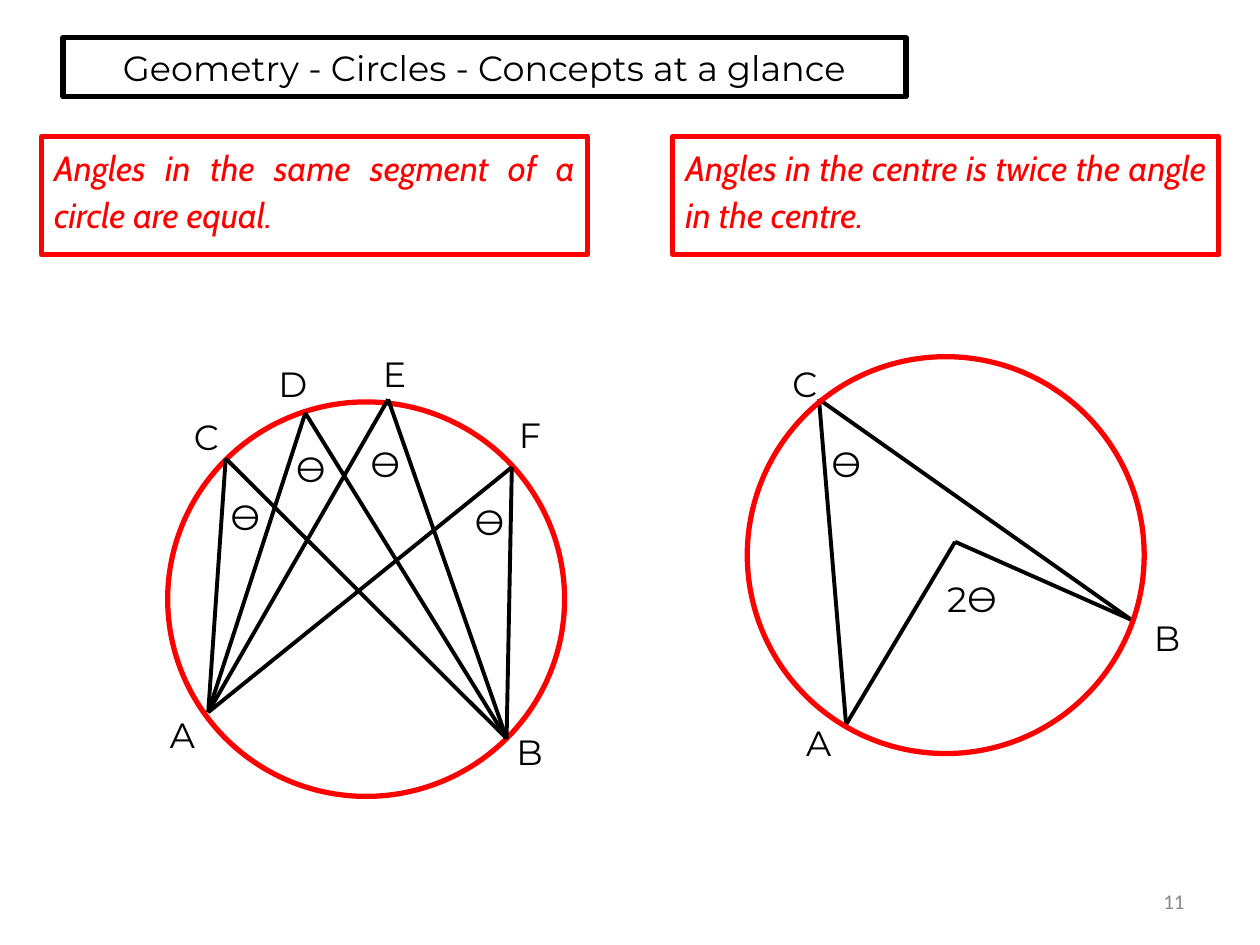
from typing import NamedTuple

from pptx import Presentation
from pptx.dml.color import RGBColor
from pptx.enum.shapes import MSO_CONNECTOR as Connector, MSO_SHAPE as Preset
from pptx.enum.text import MSO_ANCHOR as Anchor, PP_ALIGN as Align
from pptx.oxml.ns import qn
from pptx.util import Pt
from lxml.etree import SubElement

BLACK, RED, GREY = "000000", "FF0000", "898989"


class Area(NamedTuple):
    left: float
    top: float
    width: float
    height: float


class Point(NamedTuple):
    x: float
    y: float


class Label(NamedTuple):
    text: str
    left: float
    top: float
    width: float = 29


def colour(value: str) -> RGBColor:
    return RGBColor.from_string(value)


def lengths(values):
    return [Pt(value) for value in values]


def write(box, text: str, *, font="Montserrat", size=20, ink=BLACK, italic=False,
          align=Align.LEFT, anchor=Anchor.TOP, spacing=1.0, wrap=True):
    frame = box.text_frame
    frame.word_wrap = wrap
    frame.vertical_anchor = anchor
    frame.margin_left = frame.margin_right = Pt(7.2)
    frame.margin_top = frame.margin_bottom = Pt(3.6)
    para = frame.paragraphs[0]
    para.alignment = align
    para.line_spacing = spacing
    span = para.add_run()
    span.text = text
    span.font.name = font
    span.font.size = Pt(size)
    span.font.italic = italic
    span.font.color.rgb = colour(ink)


def draw_outline(page, preset, area: Area, ink: str):
    shape = page.shapes.add_shape(preset, *lengths(area))
    shape.shadow.inherit = False
    shape.fill.background()
    shape.line.color.rgb = colour(ink)
    shape.line.width = Pt(3)
    return shape


def draw_lines(page, points: dict[str, Point], pairs: str):
    for start, end in pairs.split():
        line = page.shapes.add_connector(
            Connector.STRAIGHT, *lengths(points[start] + points[end]))
        line.line.color.rgb = colour(BLACK)
        line.line.width = Pt(2.25)
        SubElement(line._element.spPr, qn("a:effectLst"))


def draw_labels(page, labels: list[Label]):
    for label in labels:
        area = Area(label.left, label.top, label.width, 31.5)
        box = page.shapes.add_textbox(*lengths(area))
        write(box, label.text, wrap=False)


def draw_theorem(page, left: float, text: str):
    box = draw_outline(page, Preset.RECTANGLE, Area(left, 78, 312, 67.5), RED)
    write(box, text, font="Cabin", ink=RED, italic=True,
          align=Align.JUSTIFY, spacing=1.1)


SEGMENT_POINTS = {
    "A": Point(119, 407), "B": Point(289.5, 422), "C": Point(129, 262),
    "D": Point(174.5, 236), "E": Point(221.8, 228.2), "F": Point(292.5, 267),
}
SEGMENT_LABELS = [
    Label("Ѳ", 124.6, 279.4), Label("Ѳ", 162, 252),
    Label("Ѳ", 204.5, 249.1), Label("Ѳ", 264.2, 282.2),
    Label("C", 103.7, 234), Label("A", 90, 404), Label("D", 152, 203.8),
    Label("B", 288, 414), Label("E", 211.7, 198), Label("F", 289.4, 232.6),
]
CENTRE_POINTS = {
    "A": Point(483.5, 414), "B": Point(646.5, 354.2),
    "C": Point(468, 228.2), "O": Point(545.8, 309.6),
}
CENTRE_LABELS = [
    Label("C", 445.7, 203.8), Label("A", 453.6, 409), Label("B", 652.3, 348.5),
    Label("Ѳ", 468, 249.1), Label("2Ѳ", 534.2, 326.2, 45.4),
]


def main():
    deck = Presentation()
    deck.slide_width, deck.slide_height = Pt(720), Pt(540)
    page = deck.slides.add_slide(deck.slide_layouts[6])

    title = draw_outline(page, Preset.RECTANGLE, Area(36, 21.6, 481.7, 33.8), BLACK)
    write(title, "Geometry - Circles - Concepts at a glance",
          align=Align.CENTER, anchor=Anchor.MIDDLE)
    draw_theorem(page, 23.8, "Angles in the same segment of a circle are equal.")
    draw_theorem(page, 384.5, "Angles in the centre is twice the angle in the centre.")

    draw_lines(page, CENTRE_POINTS, "CB CA OA OB")
    draw_labels(page, CENTRE_LABELS)
    draw_outline(page, Preset.OVAL, Area(427, 203.8, 226.8, 226.8), RED)

    draw_outline(page, Preset.OVAL, Area(95.8, 229.7, 226.8, 225.4), RED)
    draw_lines(page, SEGMENT_POINTS, "CB CA AF FB EA EB DA DB")
    draw_labels(page, SEGMENT_LABELS)

    number = page.shapes.add_textbox(*lengths(Area(516.2, 500.4, 167.8, 28.8)))
    write(number, "11", font="Calibri", size=12, ink=GREY,
          align=Align.RIGHT, anchor=Anchor.MIDDLE)
    deck.save("out.pptx")


if __name__ == "__main__":
    main()
